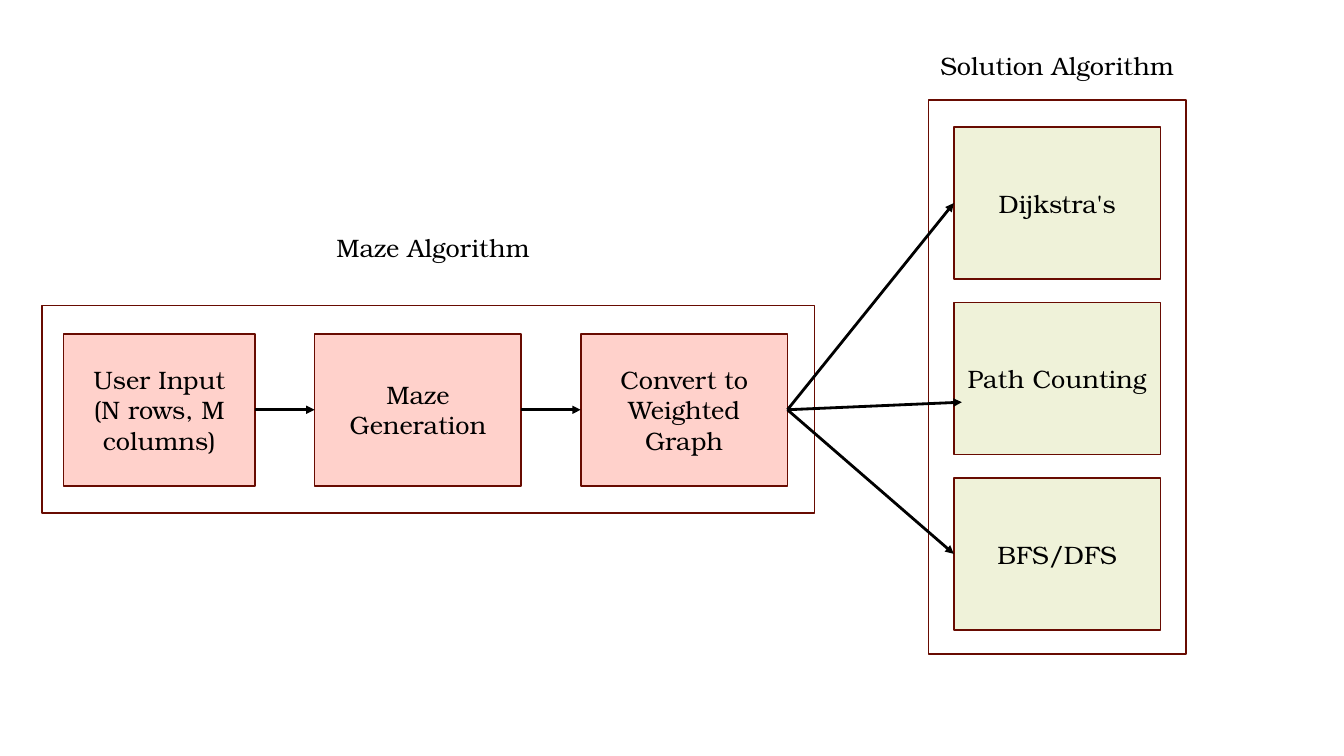
from dataclasses import dataclass

from lxml import etree
from pptx import Presentation
from pptx.dml.color import RGBColor
from pptx.enum import shapes, text
from pptx.oxml import ns
from pptx.util import Inches, Pt


@dataclass(frozen=True)
class Theme:
    font: str = "TeX Gyre Bonum"
    size: float = 18
    ink: str = "000000"
    outline: str = "680B01"
    maze_fill: str = "FFD1CB"
    solution_fill: str = "EFF2D9"
    outline_width: float = 1.25
    arrow_width: float = 2


THEME = Theme()
STEP_HEIGHT = 1.51
TOP, LEFT, BOTTOM, RIGHT = range(4)  # connection sites of a rectangle


def write(frame, lines):
    """Fill a text frame with centred lines."""
    frame.word_wrap = True
    for index, line in enumerate(lines):
        paragraph = frame.paragraphs[0] if index == 0 else frame.add_paragraph()
        paragraph.alignment = text.PP_ALIGN.CENTER
        run = paragraph.add_run()
        run.text = line
        run.font.name = THEME.font
        run.font.size = Pt(THEME.size)
        run.font.color.rgb = RGBColor.from_string(THEME.ink)


def add_box(parent, x, y, width, height, fill=None):
    """Add an outlined rectangle, hollow unless a fill is given."""
    box = parent.add_shape(shapes.MSO_SHAPE.RECTANGLE,
                           Inches(x), Inches(y), Inches(width), Inches(height))
    box.shadow.inherit = False
    if fill:
        box.fill.solid()
        box.fill.fore_color.rgb = RGBColor.from_string(fill)
    else:
        box.fill.background()
    box.line.color.rgb = RGBColor.from_string(THEME.outline)
    box.line.width = Pt(THEME.outline_width)
    return box


def add_step(group, x, y, width, fill, lines):
    step = add_box(group.shapes, x, y, width, STEP_HEIGHT, fill)
    step.text_frame.vertical_anchor = text.MSO_ANCHOR.MIDDLE
    write(step.text_frame, lines)
    return step


def add_heading(slide, x, y, heading):
    label = slide.shapes.add_textbox(Inches(x), Inches(y), Inches(4.13), Inches(0.4))
    label.text_frame.auto_size = text.MSO_AUTO_SIZE.SHAPE_TO_FIT_TEXT
    write(label.text_frame, [heading])


def add_maze_region(slide, x, y, width, height):
    """Place the maze steps in a row inside their frame."""
    group = slide.shapes.add_group_shape()
    steps = []
    step_x, gap = x + 0.21, 0.59
    for step_width, lines in (
        (1.9, ["User Input", "(N rows, M columns)"]),
        (2.05, ["Maze Generation"]),
        (2.05, ["Convert to Weighted Graph"]),
    ):
        steps.append(add_step(group, step_x, y + 0.28, step_width, THEME.maze_fill, lines))
        step_x += step_width + gap
    add_box(slide.shapes, x, y, width, height)
    add_heading(slide, x + 1.81, y - 0.77, "Maze Algorithm")
    return steps


def add_solution_region(slide, x, y, width, height):
    """Stack the solution methods inside their frame."""
    group = slide.shapes.add_group_shape()
    pitch = 1.74
    methods = [
        add_step(group, x + 0.25, y + 0.27 + row * pitch, 2.05, THEME.solution_fill, [method])
        for row, method in enumerate(("Dijkstra's", "Path Counting", "BFS/DFS"))
    ]
    add_box(slide.shapes, x, y, width, height)
    add_heading(slide, x - 0.79, y - 0.54, "Solution Algorithm")
    return methods


def add_arrow(slide, source, target=None, end=(0, 0)):
    """Draw an arrow from the source's right side to the target or a free end."""
    arrow = slide.shapes.add_connector(shapes.MSO_CONNECTOR.STRAIGHT, 0, 0,
                                       Inches(end[0]), Inches(end[1]))
    arrow.begin_connect(source, RIGHT)
    if target is not None:
        arrow.end_connect(target, LEFT)
    arrow.line.color.rgb = RGBColor.from_string(THEME.ink)
    arrow.line.width = Pt(THEME.arrow_width)
    etree.SubElement(arrow.line._get_or_add_ln(), ns.qn("a:tailEnd"), type="triangle")
    etree.SubElement(arrow._element.spPr, ns.qn("a:effectLst"))


def main():
    presentation = Presentation()
    presentation.slide_width = Inches(13.33)
    presentation.slide_height = Inches(7.5)
    slide = presentation.slides.add_slide(presentation.slide_layouts[6])

    # Regions
    user_input, generation, graph = add_maze_region(slide, 0.42, 3.03, 7.66, 2.06)
    dijkstra, _, search = add_solution_region(slide, 9.21, 0.99, 2.55, 5.5)

    # Flow from the weighted graph to each method
    add_arrow(slide, graph, dijkstra)
    add_arrow(slide, graph, search)
    add_arrow(slide, graph, end=(9.54, 3.99))  # meets Path Counting below its middle

    # Flow along the maze steps
    add_arrow(slide, user_input, generation)
    add_arrow(slide, generation, graph)

    presentation.save("out.pptx")


if __name__ == "__main__":
    main()
